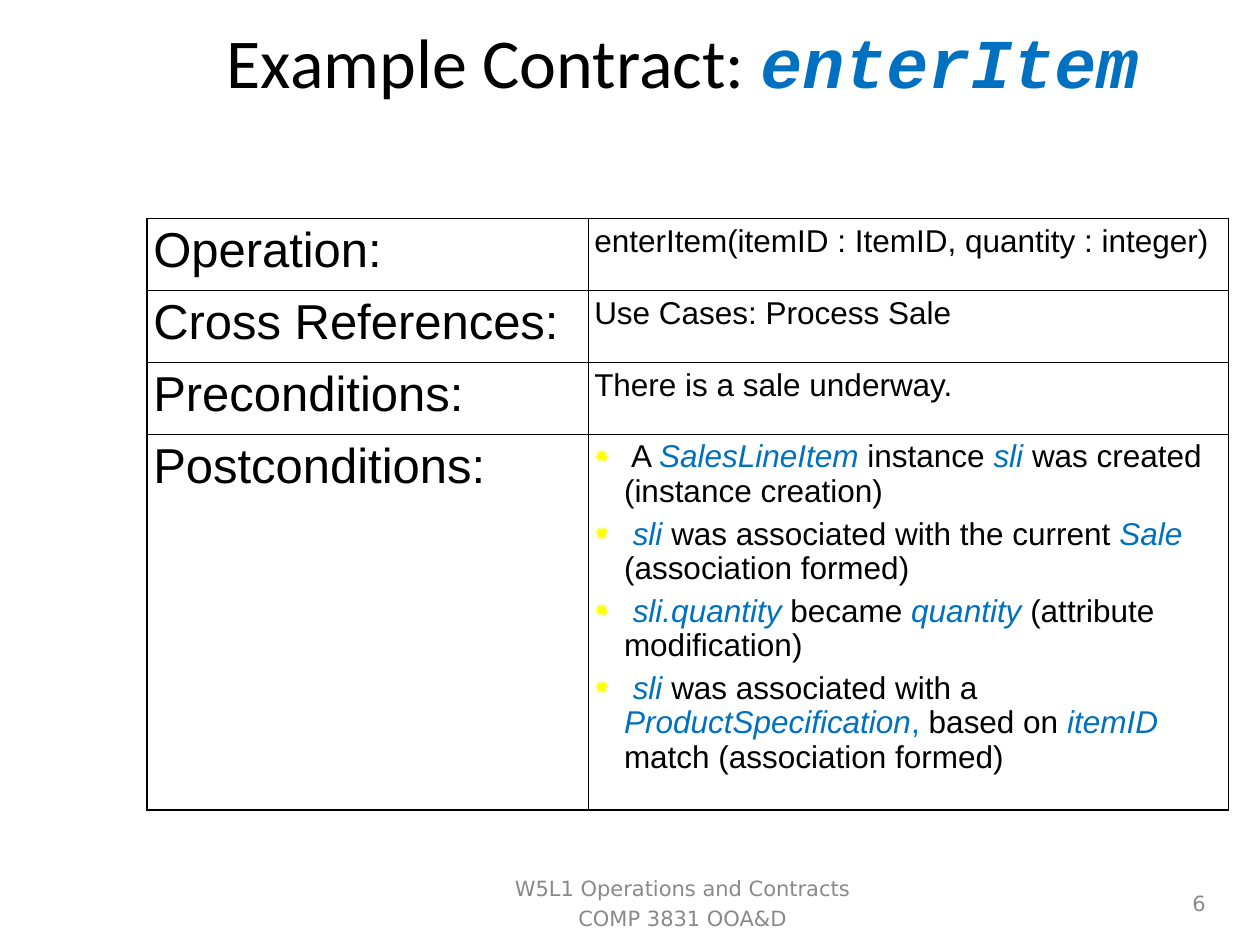
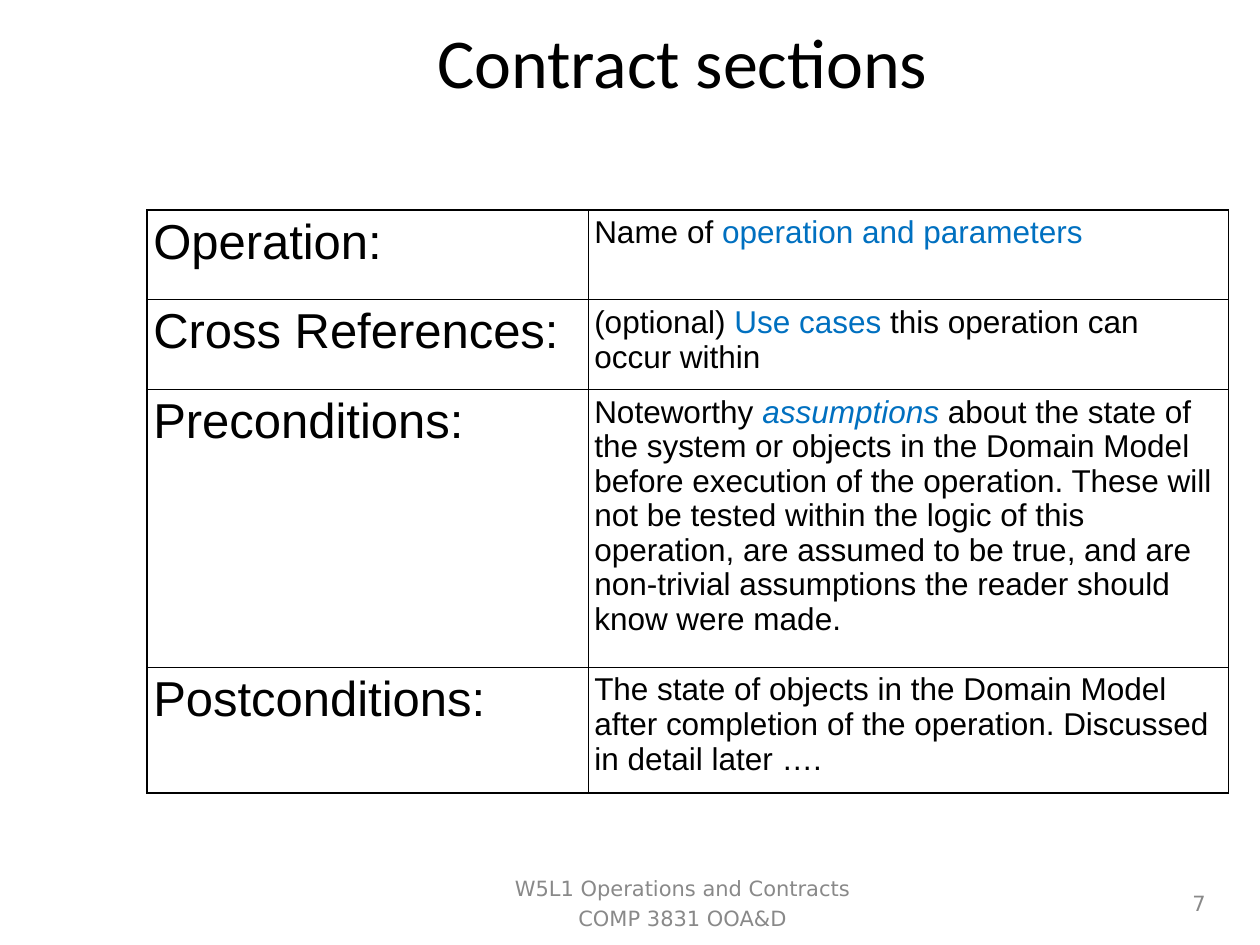
from pptx import Presentation
from pptx.dml.color import RGBColor
from pptx.enum.text import MSO_ANCHOR, PP_ALIGN
from pptx.oxml import parse_xml
from pptx.oxml.ns import nsdecls
from pptx.util import Pt

BLACK, BLUE, GREY, YELLOW = "000000", "0070C0", "898989", "FFFF00"
SECTIONS = ["Operation:", "Cross References:", "Preconditions:", "Postconditions:"]
FOOTER = ["W5L1 Operations and Contracts", "COMP 3831 OOA&D"]


def color(hex_value):
    return RGBColor.from_string(hex_value)


def term(text):
    """A run in blue italics."""
    return text, {"fill": BLUE, "italic": True}


def blue(text):
    return text, {"fill": BLUE}


class ContractDeck:
    left, columns = 84, (252, 366)
    outer_line, inner_line = 1.08, 0.45

    def __init__(self):
        self.prs = Presentation()
        self.prs.slide_width, self.prs.slide_height = Pt(720), Pt(540)
        self.slide = None

    def new_slide(self, title, number):
        self.slide = self.prs.slides.add_slide(self.prs.slide_layouts[6])
        self.text_box((self.left, 9.5, 612, 50), [title], "Calibri", 40, BLACK)
        self.text_box((276, 498, 228, 36), FOOTER, "DejaVu Sans", 12, GREY, before=3)
        self.text_box((546, 498, 150, 36), [str(number)], "DejaVu Sans", 12, GREY,
                      before=3, align=PP_ALIGN.RIGHT)

    def add_runs(self, paragraph, content, font, size, fill):
        """Content is a string or a list of strings and (text, style) pairs."""
        for part in [content] if isinstance(content, str) else content:
            text, style = (part, {}) if isinstance(part, str) else part
            run = paragraph.add_run()
            run.text = text
            run.font.name = style.get("font", font)
            run.font.size = Pt(size)
            run.font.bold = style.get("bold", False)
            run.font.italic = style.get("italic", False)
            run.font.color.rgb = color(style.get("fill", fill))

    def paragraphs(self, frame, contents, font, size, fill, before):
        for index, content in enumerate(contents):
            paragraph = frame.add_paragraph() if index else frame.paragraphs[0]
            paragraph.space_before = Pt(before)
            self.add_runs(paragraph, content, font, size, fill)
            yield paragraph

    def text_box(self, box, contents, font, size, fill, before=0, align=PP_ALIGN.CENTER):
        frame = self.slide.shapes.add_textbox(*map(Pt, box)).text_frame
        frame.word_wrap = True
        frame.vertical_anchor = MSO_ANCHOR.MIDDLE
        for paragraph in self.paragraphs(frame, contents, font, size, fill, before):
            paragraph.alignment = align

    def bullet(self, paragraph):
        properties = paragraph._p.get_or_add_pPr()
        properties.set("marL", str(Pt(17)))
        properties.set("indent", str(-Pt(17)))
        for xml in (f'<a:buClr {nsdecls("a")}><a:srgbClr val="{YELLOW}"/></a:buClr>',
                    f'<a:buSzPct {nsdecls("a")} val="80000"/>',
                    f'<a:buChar {nsdecls("a")} char="✹"/>'):
            properties.append(parse_xml(xml))

    def borders(self, cell, outer_sides):
        for side in "LRTB":
            width = self.outer_line if side in outer_sides else self.inner_line
            cell._tc.get_or_add_tcPr().append(parse_xml(
                f'<a:ln{side} {nsdecls("a")} w="{Pt(width)}"><a:solidFill>'
                f'<a:srgbClr val="{BLACK}"/></a:solidFill></a:ln{side}>'))

    def fill_cell(self, cell, contents, size, outer_sides):
        self.borders(cell, outer_sides)
        cell.fill.background()
        cell.margin_left = cell.margin_right = Pt(3.6)
        cell.margin_top = cell.margin_bottom = Pt(3.6)
        for paragraph in self.paragraphs(cell.text_frame, contents, "Arial", size,
                                         BLACK, before=size / 4):
            paragraph.line_spacing = 0.98
            if len(contents) > 1:
                self.bullet(paragraph)

    def contract_table(self, top, heights, descriptions):
        """Each description is a list of paragraphs; several become bullets."""
        table = self.slide.shapes.add_table(
            len(SECTIONS), 2, Pt(self.left), Pt(top),
            Pt(sum(self.columns)), Pt(sum(heights))).table
        table.first_row = table.horz_banding = False
        for column, width in zip(table.columns, self.columns):
            column.width = Pt(width)
        last = len(SECTIONS) - 1
        for row, (section, description) in enumerate(zip(SECTIONS, descriptions)):
            table.rows[row].height = Pt(heights[row])
            edge = "T" * (row == 0) + "B" * (row == last)
            self.fill_cell(table.cell(row, 0), [section], 28, edge + "L")
            self.fill_cell(table.cell(row, 1), description, 18, edge + "R")


def main():
    deck = ContractDeck()

    # Example contract
    operation = ("enterItem", {"font": "Courier New", "fill": BLUE,
                               "bold": True, "italic": True})
    deck.new_slide(["Example Contract: ", operation], 6)
    deck.contract_table(124.8, (41.1, 41.1, 41.1, 215), [
        ["enterItem(itemID : ItemID, quantity : integer)"],
        ["Use Cases: Process Sale"],
        ["There is a sale underway."],
        [
            [" A ", term("SalesLineItem "), "instance ", term("sli "),
             "was created (instance creation)"],
            [blue(" "), term("sli "), "was associated with the current ",
             term("Sale "), "(association formed)"],
            [blue(" "), term("sli.quantity "), "became ", term("quantity "),
             "(attribute modification)"],
            [blue(" "), term("sli "), "was associated with a ",
             term("ProductSpecification"), blue(", "), "based on ",
             term("itemID "), "match (association formed)"],
        ],
    ])

    # Meaning of each section
    deck.new_slide("Contract sections", 7)
    deck.contract_table(120, (51.2, 51.2, 158.8, 72), [
        [["Name of ", blue("operation and parameters")]],
        [["(optional) ", blue("Use cases"), " this operation can occur within"]],
        [["Noteworthy ", term("assumptions"),
          " about the state of the system or objects in the Domain Model before "
          "execution of the operation. These will not be tested within the logic of "
          "this operation, are assumed to be true, and are non-trivial assumptions "
          "the reader should know were made."]],
        ["The state of objects in the Domain Model after completion of the "
         "operation. Discussed in detail later …."],
    ])

    deck.prs.save("out.pptx")


if __name__ == "__main__":
    main()
